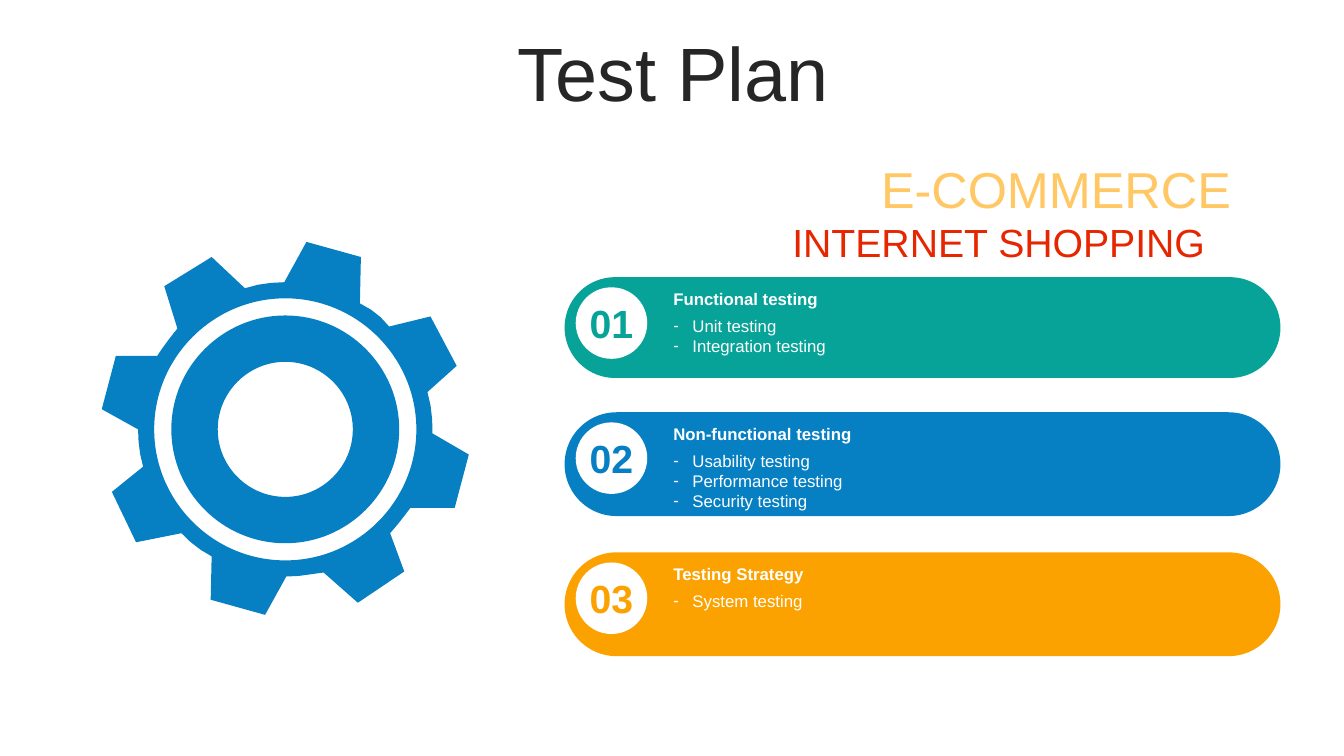
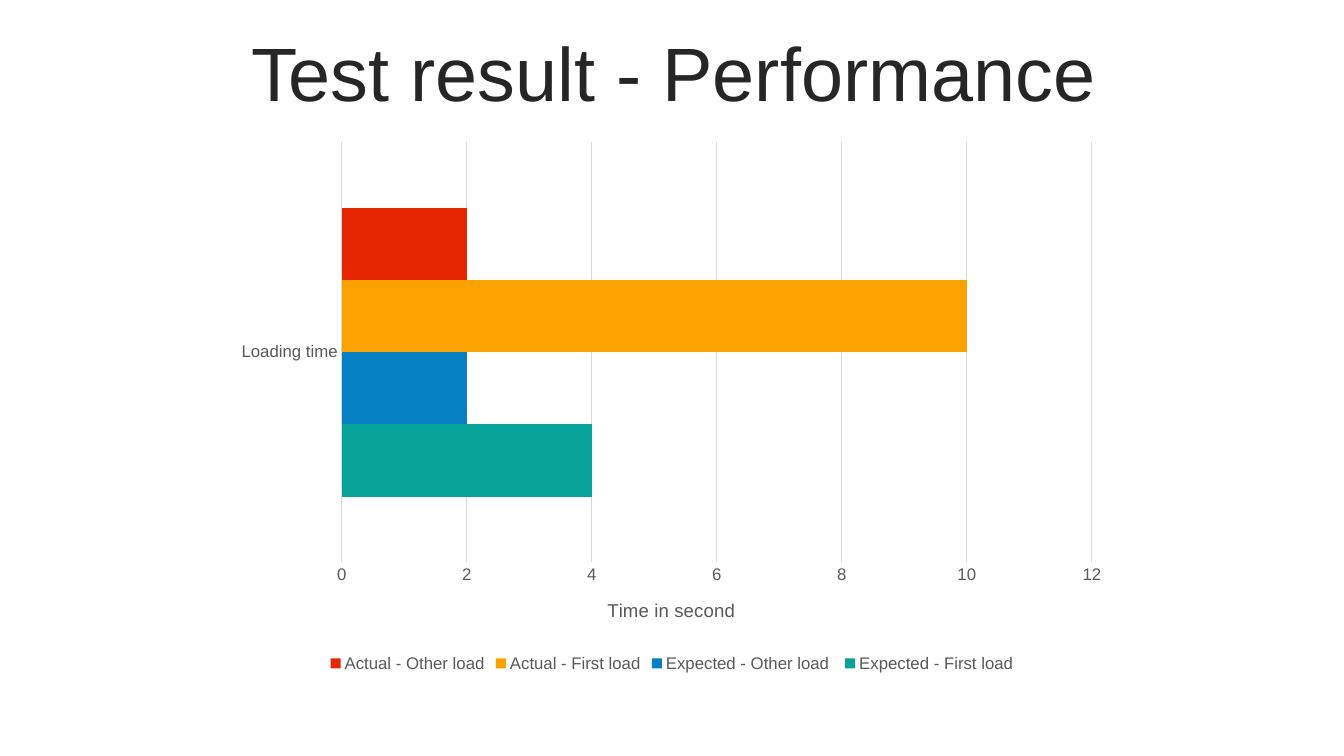
from math import atan2, cos, pi, sin

from lxml.etree import SubElement
from pptx import Presentation
from pptx.chart.data import CategoryChartData
from pptx.dml.color import RGBColor
from pptx.enum.chart import XL_CHART_TYPE, XL_LEGEND_POSITION, XL_TICK_MARK
from pptx.enum.shapes import MSO_SHAPE
from pptx.enum.text import MSO_ANCHOR, PP_ALIGN
from pptx.oxml import parse_xml
from pptx.oxml.ns import nsdecls, qn
from pptx.util import Pt

PX = 9144  # EMU per px, 100 px to the inch
FONT = "Arial"
WHITE = RGBColor(0xFF, 0xFF, 0xFF)
INK = RGBColor(0x26, 0x26, 0x26)
GREY = RGBColor(0x59, 0x59, 0x59)
PALE = RGBColor(0xD9, 0xD9, 0xD9)
TEAL = RGBColor(0x07, 0xA3, 0x98)
BLUE = RGBColor(0x06, 0x80, 0xC3)
AMBER = RGBColor(0xFB, 0xA2, 0x00)
RED = RGBColor(0xE6, 0x26, 0x01)
SAND = RGBColor(0xFF, 0xC8, 0x64)

TITLE_BOX = (35, 37, 1266, 79)
CHART_BOX = (222, 130, 889, 541)
GEAR_BOX = (101, 240, 364, 370)

PILLS = [
    ((560, 275, 710, 100), TEAL, "Functional testing",
     ["Unit testing", "Integration testing"]),
    ((560, 409, 710, 103), BLUE, "Non-functional testing",
     ["Usability testing", "Performance testing", "Security testing"]),
    ((560, 548, 710, 103), AMBER, "Testing Strategy", ["System testing"]),
]

HUB = (182, 186)  # gear centre within its box
RIM = 146
RINGS = (130, 113, 67)
BEND = 0.55  # handle length of a quarter circle, as a share of its radius
# Each tooth, clockwise: root, two tip corners, root
TEETH = [
    [(181, 40), (203, 0), (257, 15), (256, 61)],
    [(285, 84), (326, 74), (352, 123), (323, 149)],
    [(328, 190), (364, 211), (350, 264), (306, 264)],
    [(286, 289), (300, 327), (254, 358), (220, 328)],
    [(183, 332), (162, 370), (108, 355), (109, 312)],
    [(79, 289), (34, 298), (10, 248), (41, 223)],
    [(36, 186), (0, 166), (14, 113), (55, 113)],
    [(75, 86), (62, 44), (109, 15), (142, 46)],
]

SERIES = [
    ("Expected - First load", 4, TEAL),
    ("Expected - Other load ", 2, BLUE),
    ("Actual - First load", 10, AMBER),
    ("Actual - Other load", 2, RED),
]


def emu(*box):
    return [round(n * PX) for n in box]


def style(font, size, color, bold=False):
    font.name = FONT
    font.size = Pt(size)
    font.bold = bold
    font.color.rgb = color


def paint(shape, color):
    shape.shadow.inherit = False
    shape.fill.solid()
    shape.fill.fore_color.rgb = color
    shape.line.fill.background()


def add_text(slide, box, lines, size, color, bold=False,
             align=PP_ALIGN.LEFT, anchor=MSO_ANCHOR.MIDDLE):
    frame = slide.shapes.add_textbox(*emu(*box)).text_frame
    frame.word_wrap = True
    frame.vertical_anchor = anchor
    frame.text = "\n".join(lines)
    for para in frame.paragraphs:
        para.alignment = align
        style(para.runs[0].font, size, color, bold)
    return frame


def add_dash(para):
    """Give the paragraph a hanging dash bullet."""
    props = para._p.get_or_add_pPr()
    props.set("marL", str(19 * PX))
    props.set("indent", str(-19 * PX))
    SubElement(props, qn("a:buFont")).set("typeface", FONT)
    SubElement(props, qn("a:buChar")).set("char", "-")


def add_title(slide, text):
    frame = add_text(slide, TITLE_BOX, [text], 54, INK, align=PP_ALIGN.CENTER)
    para = frame.paragraphs[0]
    para.line_spacing = 0.9
    para.space_before = Pt(10)


def add_pill(slide, box, num, color, head, items):
    left, top = box[:2]
    pill = slide.shapes.add_shape(MSO_SHAPE.ROUNDED_RECTANGLE, *emu(*box))
    pill.adjustments[0] = 0.5
    paint(pill, color)
    disc = slide.shapes.add_shape(
        MSO_SHAPE.OVAL, *emu(left + 11, top + 10, 71, 71))
    paint(disc, WHITE)

    add_text(slide, (left + 10, top + 17, 73, 57), [f"{num:02}"], 28, color,
             True, PP_ALIGN.CENTER, MSO_ANCHOR.TOP)
    body = add_text(slide, (left + 98, top + 33, 566, 10 + 20 * len(items)),
                    items, 12, WHITE, anchor=MSO_ANCHOR.TOP)
    for para in body.paragraphs:
        add_dash(para)
    add_text(slide, (left + 98, top + 6, 566, 30), [head], 12, WHITE, True)


def angle(point):
    return atan2(point[1] - HUB[1], point[0] - HUB[0])


def outline():
    """Teeth joined along the rim, two points to each gap."""
    points = []
    for i, tooth in enumerate(TEETH):
        after = TEETH[(i + 1) % len(TEETH)]
        start = angle(tooth[-1])
        sweep = (angle(after[0]) - start) % (2 * pi)
        turns = [start + sweep * k / 3 for k in (1, 2)]
        points += tooth + [(HUB[0] + RIM * cos(t), HUB[1] + RIM * sin(t))
                           for t in turns]
    return points


def add_points(path, tag, points):
    step = SubElement(path, qn(f"a:{tag}"))
    for point in points:
        spot = SubElement(step, qn("a:pt"))
        for name, val in zip("xy", emu(*point)):
            spot.set(name, str(val))


def add_ring(path, size):
    """Add a circle about the hub, made of four curves."""
    def place(x, y):
        return HUB[0] + size * x, HUB[1] + size * y

    add_points(path, "moveTo", [place(1, 0)])
    for x, y in ((1, 0), (0, 1), (-1, 0), (0, -1)):
        add_points(path, "cubicBezTo", [
            place(x - BEND * y, y + BEND * x),
            place(BEND * x - y, BEND * y + x),
            place(-y, x)])
    SubElement(path, qn("a:close"))


def add_gear(slide, box):
    left, top = box[:2]
    first, *rest = [emu(left + x, top + y) for x, y in outline()]
    pen = slide.shapes.build_freeform(*first)
    pen.add_line_segments(rest, close=True)
    gear = pen.convert_to_shape()
    paint(gear, BLUE)
    path = gear._element.find(".//" + qn("a:path"))
    for size in RINGS:
        add_ring(path, size)


def set_layout(part, box, inner=False, **sizes):
    """Fix the place of a chart part, given in px within the chart box."""
    layout = part.find(qn("c:layout"))
    if layout is None:
        layout = parse_xml(f"<c:layout {nsdecls('c')}/>")
        part.insert(0, layout)
    manual = SubElement(layout, qn("c:manualLayout"))
    vals = {"layoutTarget": "inner"} if inner else {}
    vals.update(xMode="edge", yMode="edge")
    for name, size in sizes.items():
        vals[name] = size / (box[2] if name in "xw" else box[3])
    for name, val in vals.items():
        SubElement(manual, qn(f"c:{name}")).set("val", str(val))


def add_bars(slide, box):
    data = CategoryChartData()
    data.categories = ["Loading time"]
    for name, val, _ in SERIES:
        data.add_series(name, [val])
    chart = slide.shapes.add_chart(
        XL_CHART_TYPE.BAR_CLUSTERED, *emu(*box), data).chart
    style(chart.font, 12, GREY)
    chart.has_title = False
    chart.has_legend = True
    chart.legend.position = XL_LEGEND_POSITION.BOTTOM
    chart.legend.include_in_layout = False
    style(chart.legend.font, 12, GREY)

    plot = chart.plots[0]
    plot.gap_width = 182
    plot.overlap = 0
    plot.vary_by_categories = False
    for bar, (_, _, color) in zip(plot.series, SERIES):
        bar.format.fill.solid()
        bar.format.fill.fore_color.rgb = color

    cats, vals = chart.category_axis, chart.value_axis
    for axis in (cats, vals):
        axis.major_tick_mark = axis.minor_tick_mark = XL_TICK_MARK.NONE
        style(axis.tick_labels.font, 12, GREY)
    vals.minimum_scale, vals.maximum_scale, vals.major_unit = 0, 12, 2
    vals.format.line.fill.background()
    vals.has_major_gridlines = True
    for line in (cats.format.line, vals.major_gridlines.format.line):
        line.color.rgb = PALE
        line.width = Pt(0.75)

    frame = vals.axis_title.text_frame
    frame.text = "Time in second"
    style(frame.paragraphs[0].runs[0].font, 13.3, GREY)
    set_layout(vals.axis_title._element, box, x=377, y=460)
    set_layout(chart._chartSpace.chart.plotArea, box, inner=True,
               x=117, y=11, w=744, h=417)


def plan_slide(slide):
    add_title(slide, "Test Plan")
    for num, (box, color, head, items) in enumerate(PILLS, 1):
        add_pill(slide, box, num, color, head, items)
    add_text(slide, (776, 211, 471, 57), ["INTERNET SHOPPING"], 28, RED,
             align=PP_ALIGN.JUSTIFY)
    add_text(slide, (864, 151, 383, 71), ["E-COMMERCE"], 36, SAND,
             align=PP_ALIGN.JUSTIFY)
    add_gear(slide, GEAR_BOX)


def result_slide(slide):
    add_title(slide, "Test result - Performance")
    add_bars(slide, CHART_BOX)


def main():
    deck = Presentation()
    deck.slide_width, deck.slide_height = emu(1333, 750)
    blank = deck.slide_layouts[6]
    for build in (plan_slide, result_slide):
        build(deck.slides.add_slide(blank))
    deck.save("out.pptx")


if __name__ == "__main__":
    main()
